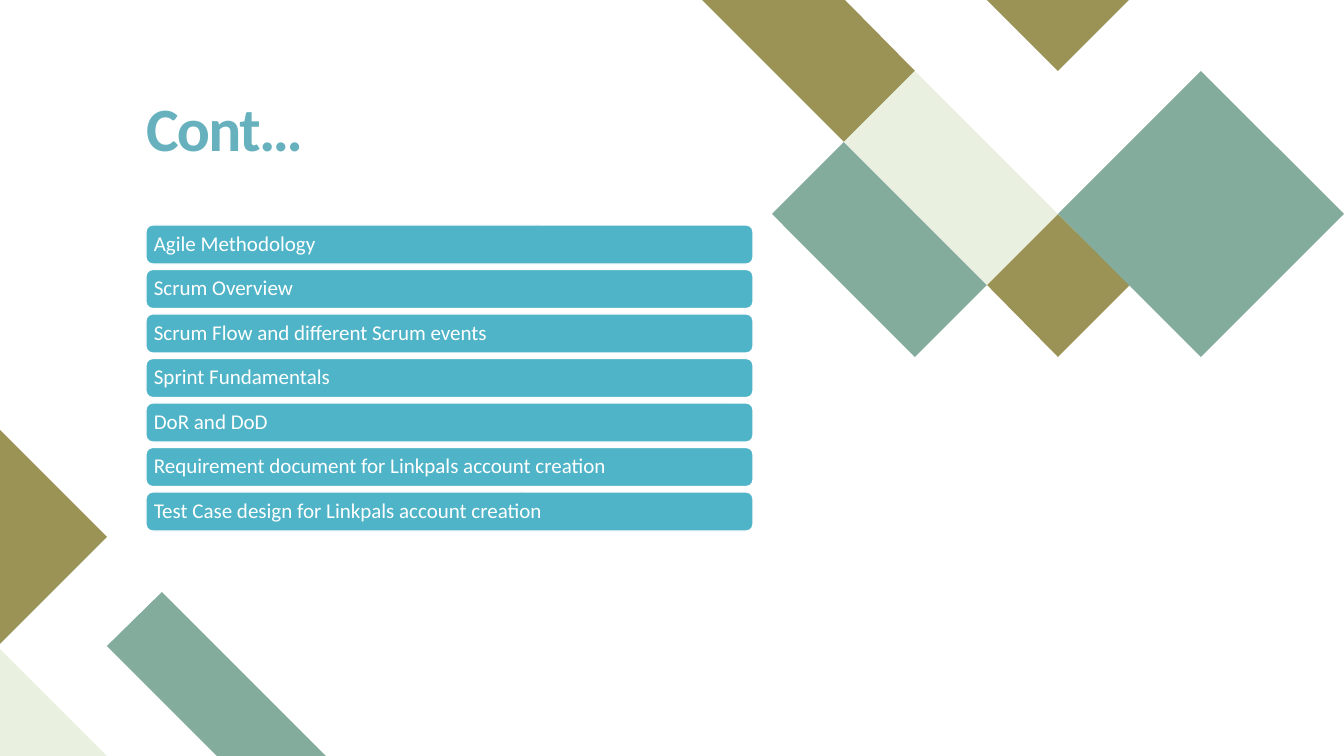
"""Build the agenda continuation slide with its diamond pattern and topic bars."""
import pptx
import pptx.dml.color
import pptx.enum.shapes
import pptx.enum.text
import pptx.util

EMU_PER_PX = 12192000 / 1344

THEME = {
    "font": "Calibri",
    "title_size": 44,
    "bar_size": 15,
    "title": "66B1BD",
    "bar": "50B4C8",
    "white": "FFFFFF",
    "olive": "9B9256",
    "sage": "84AC9D",
    "mint": "EAF0E0",
}

DIAMONDS = [
    ("sage", [(162, 592), (326, 756), (217, 756), (107, 646)]),
    ("mint", [(0, 649), (107, 756), (0, 756)]),
    ("olive", [(0, 430), (107, 537), (0, 644)]),
    ("olive", [(702, 0), (845, 0), (915, 71), (844, 142)]),
    ("olive", [(1058, 214), (1130, 285), (1058, 357), (987, 285)]),
    ("sage", [(844, 142), (987, 285), (915, 357), (772, 214)]),
    ("olive", [(987, 0), (1129, 0), (1058, 71)]),
    ("mint", [(915, 71), (1058, 214), (987, 285), (844, 142)]),
    ("sage", [(1201, 71), (1344, 214), (1201, 357), (1058, 214)]),
]

TOPICS = [
    "Agile Methodology",
    "Scrum Overview",
    "Scrum Flow and different Scrum events",
    "Sprint Fundamentals",
    "DoR and DoD",
    "Requirement document for Linkpals account creation",
    "Test Case design for Linkpals account creation",
]
BAR_LEFT, BAR_TOP, BAR_WIDTH, BAR_HEIGHT = 146, 225, 607, 39
LAST_BAR_TOP = 492
BAR_INSET = 6


def px(n):
    return pptx.util.Emu(round(n * EMU_PER_PX))


def write(shape, text, size, color, inset, anchor, spacing):
    tf = shape.text_frame
    tf.word_wrap = True
    tf.auto_size = pptx.enum.text.MSO_AUTO_SIZE.NONE
    tf.vertical_anchor = anchor
    tf.margin_left = tf.margin_right = tf.margin_top = tf.margin_bottom = px(inset)
    p = tf.paragraphs[0]
    p.alignment = pptx.enum.text.PP_ALIGN.LEFT
    p.line_spacing = spacing
    r = p.add_run()
    r.text = text
    r.font.name = THEME["font"]
    r.font.size = pptx.util.Pt(THEME[size])
    r.font.color.rgb = pptx.dml.color.RGBColor.from_string(THEME[color])
    return r


prs = pptx.Presentation()
prs.slide_width, prs.slide_height = px(1344), px(756)
s = prs.slides.add_slide(prs.slide_layouts[5])

for color, points in DIAMONDS:
    builder = s.shapes.build_freeform(*points[0], scale=EMU_PER_PX)
    builder.add_line_segments(points[1:], close=True)
    sp = builder.convert_to_shape()
    sp.shadow.inherit = False
    sp.fill.solid()
    sp.fill.fore_color.rgb = pptx.dml.color.RGBColor.from_string(THEME[color])
    sp.line.fill.background()

pitch = (LAST_BAR_TOP - BAR_TOP) / (len(TOPICS) - 1)
for i, topic in enumerate(TOPICS):
    sp = s.shapes.add_shape(
        pptx.enum.shapes.MSO_SHAPE.ROUNDED_RECTANGLE,
        px(BAR_LEFT), px(BAR_TOP + i * pitch), px(BAR_WIDTH), px(BAR_HEIGHT),
    )
    sp.shadow.inherit = False
    sp.fill.solid()
    sp.fill.fore_color.rgb = pptx.dml.color.RGBColor.from_string(THEME["bar"])
    sp.line.color.rgb = pptx.dml.color.RGBColor.from_string(THEME["white"])
    sp.line.width = pptx.util.Pt(1)
    write(sp, topic, "bar_size", "white", BAR_INSET, pptx.enum.text.MSO_ANCHOR.MIDDLE, 0.9)

title = s.shapes.title
title.left, title.top, title.width, title.height = px(146), px(96), px(544), px(68)
r = write(title, "Cont…", "title_size", "title", 0, pptx.enum.text.MSO_ANCHOR.BOTTOM, 0.85)
r.font.bold = True
r.font._element.set("spc", "-120")

prs.save("out.pptx")
